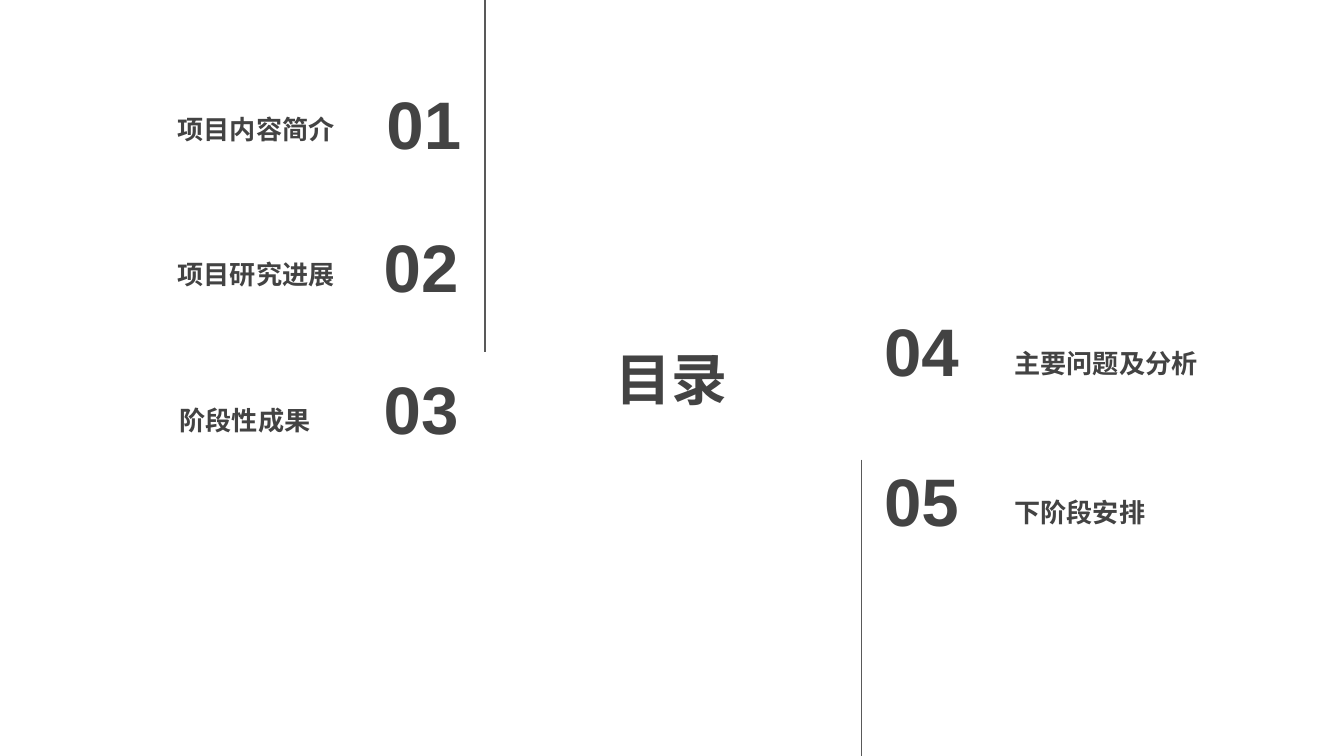
from pptx import Presentation
from pptx.dml.color import RGBColor
from pptx.enum.shapes import MSO_CONNECTOR as Conn
from pptx.enum.text import MSO_ANCHOR as Anchor, MSO_AUTO_SIZE as Fit, PP_ALIGN as Align
from pptx.oxml.ns import qn
from pptx.util import Inches, Pt
from lxml import etree

INK = RGBColor(0x43, 0x43, 0x43)
RULE = RGBColor(0x59, 0x59, 0x59)
WIDE = 10
HIGH = WIDE * 9 / 16
ROW = 0.63


def style(shape, text, size, align, anchor=Anchor.MIDDLE):
    frame = shape.text_frame
    frame.word_wrap = True
    frame.auto_size = Fit.NONE
    frame.vertical_anchor = anchor
    frame.margin_left = frame.margin_right = Inches(0.1)
    frame.margin_top = frame.margin_bottom = Inches(0.1)
    frame.text = text
    para = frame.paragraphs[0]
    para.alignment = align
    font = para.font
    font.name, font.size, font.bold = "Arial", Pt(size), True
    font.color.rgb = INK


def add_title(slide, text, left, top, width, height):
    title = slide.shapes.title
    title.left, title.top = Inches(left), Inches(top)
    title.width, title.height = Inches(width), Inches(height)
    style(title, text, 30, Align.CENTER)


def add_text(slide, box, *look):
    shape = slide.shapes.add_textbox(*map(Inches, box))
    style(shape, *look)


def add_rule(slide, x, top, end):
    line = slide.shapes.add_connector(
        Conn.STRAIGHT, Inches(x), Inches(top), Inches(x), Inches(end))
    line.line.color.rgb = RULE
    line.line.width = Pt(0.75)
    etree.SubElement(line._element.spPr, qn("a:effectLst"))


def add_left(slide, left, top):
    """Place the entries whose numbers stand left of the upper rule."""
    # Each entry: label, nudge of the label, nudge of the number
    entries = [("项目内容简介", 0, 0.02), ("项目研究进展", 0, 0), ("阶段性成果", -0.18, 0)]
    for i, (label, shift, nudge) in enumerate(entries):
        add_text(slide, (left + shift, top + 1.08 * i, 2.16, ROW),
                 label, 14, Align.RIGHT, Anchor.BOTTOM)
        add_text(slide, (left + 1.87 + nudge, top + 0.05 + 1.06 * i, 1.21, ROW),
                 f"{i + 1:02}", 36, Align.RIGHT)
    add_rule(slide, left + 3.18, 0, 2.62)


def add_right(slide, left, top):
    """Place the entries whose numbers stand right of the lower rule."""
    for i, label in enumerate(["主要问题及分析", "下阶段安排"]):
        y = top + 1.11 * i
        add_text(slide, (left, y, 1.17, ROW), f"{i + 4:02}", 36, Align.LEFT)
        add_text(slide, (left + 0.97, y, 2.16, ROW),
                 label, 14, Align.LEFT, Anchor.BOTTOM)
    add_rule(slide, left - 0.07, 3.42, HIGH)


def main():
    deck = Presentation()
    deck.slide_width, deck.slide_height = Inches(WIDE), Inches(HIGH)
    slide = deck.slides.add_slide(deck.slide_layouts.get_by_name("Title Only"))
    add_title(slide, "目录", 3.7, 2.3, 2.59, 1.03)
    add_left(slide, 0.43, 0.55)
    add_right(slide, 6.48, 2.29)
    deck.save("out.pptx")


if __name__ == "__main__":
    main()
